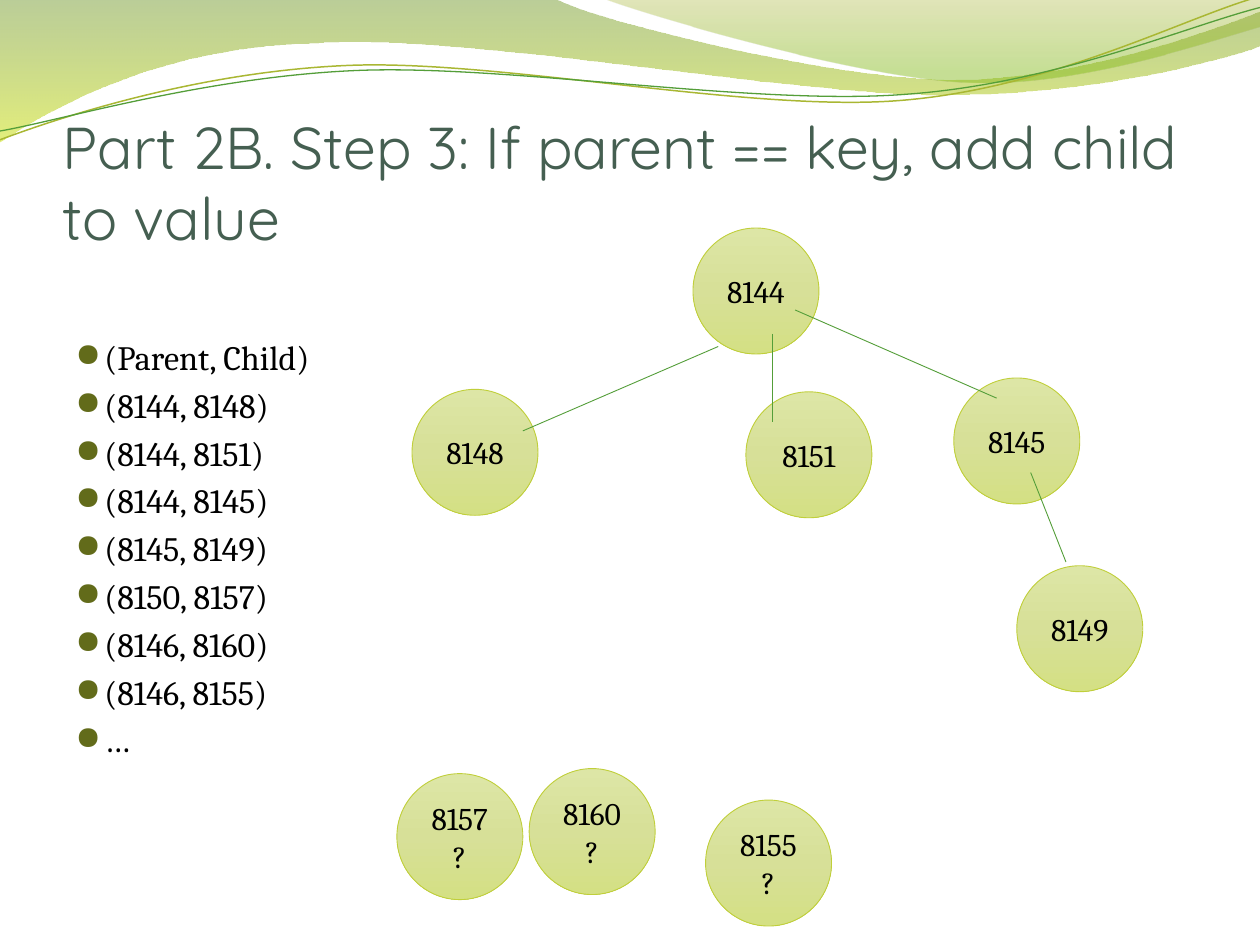
import math

import pptx
import pptx.dml.color
import pptx.enum.shapes
import pptx.enum.text
import pptx.oxml
import pptx.oxml.ns
import pptx.util
from pptx.util import Inches

RGB = pptx.dml.color.RGBColor.from_string
NS = pptx.oxml.ns.nsdecls("a")
THEME = {
    "title": {"name": "Quicksand", "size": pptx.util.Pt(33.7), "color": "455F51"},
    "body": {"name": "Cambria", "size": pptx.util.Pt(19.5), "color": "000000"},
    "node": {"name": "Cambria", "size": pptx.util.Pt(18), "color": "000000"},
    "bullet": "626B1A",
    "edge": "549E39",
    "olive": "A9B733",
    "node_line": "C0CF3A",
    # Gradient stops: position, colour, opacity in percent
    "node_fill": [(0, "DDE6A6", 100), (50, "D7E098", 100), (100, "D4E084", 100)],
    "wave_left": [(0, "69921C", 45), (100, "CCE10F", 55)],
    "wave_right": [(0, "9BAA1A", 30), (80, "81BA16", 45)],
}


def fill_down(sp, stops):
    """Give the shape a top-to-bottom gradient with per-stop opacity."""
    sp.fill.gradient()
    grad = sp._element.spPr.find(pptx.oxml.ns.qn("a:gradFill"))
    stops_xml = "".join(
        f'<a:gs pos="{pos * 1000}"><a:srgbClr val="{color}">'
        f'<a:alpha val="{alpha * 1000}"/></a:srgbClr></a:gs>'
        for pos, color, alpha in stops)
    new = pptx.oxml.parse_xml(
        f'<a:gradFill {NS} rotWithShape="1"><a:gsLst>{stops_xml}</a:gsLst>'
        '<a:lin ang="5400000" scaled="0"/></a:gradFill>')
    grad.getparent().replace(grad, new)


def write(tf, lines, style, align):
    for i, line in enumerate(lines):
        p = tf.paragraphs[0] if i == 0 else tf.add_paragraph()
        p.alignment = align
        r = p.add_run()
        r.text = line
        for key in ("name", "size"):
            setattr(r.font, key, style[key])
        r.font.color.rgb = RGB(style["color"])


prs = pptx.Presentation()
prs.slide_width, prs.slide_height = Inches(10), Inches(7.5)
s = prs.slides.add_slide(prs.slide_layouts[6])

# Header waves: start point, then segments of 2 numbers (straight) or 6 (cubic),
# gradient, line, and the centre the wave is turned about
TILT = -2.7
waves = [
    ((0, 0), [(4.4, -0.01), (4.75, 0.17, 6.63, 0.63, 7.58, 0.63),
              (8.53, 0.63, 9.58, 0.26, 10, 0.09), (10.01, 0.36),
              (9.83, 0.44, 8.69, 0.76, 7.46, 0.75),
              (6.22, 0.75, 3.81, 0.28, 2.57, 0.34),
              (1.29, 0.36, 0.46, 0.83, -0.01, 1.13), (0, 0)],
     THEME["wave_left"], None, None),
    ((4.79, -0.01), [(5.09, 0.11, 6.82, 0.62, 7.68, 0.65),
                     (8.55, 0.69, 9.61, 0.32, 10, 0.21), (10, 0), (4.79, -0.01)],
     THEME["wave_right"], None, None),
    ((0, 1.11), [(0.48, 0.93, 1.57, 0.57, 2.76, 0.52),
                 (3.95, 0.47, 5.92, 0.89, 7.12, 0.8),
                 (8.33, 0.71, 9.38, 0.15, 9.97, -0.02)],
     None, (THEME["olive"], 0.85), (4.99, 0.58)),
    ((0, 1.04), [(0.47, 0.96, 1.63, 0.61, 2.83, 0.56),
                 (4.02, 0.51, 5.97, 0.84, 7.17, 0.75),
                 (8.36, 0.67, 9.41, 0.21, 10, 0.06)],
     None, (THEME["edge"], 0.75), (5, 0.59)),
]
for start, segments, stops, line, center in waves:
    points = [start]
    for seg in segments:
        points += zip(seg[::2], seg[1::2])
    if center:
        cx, cy = center
        cos, sin = math.cos(math.radians(-TILT)), math.sin(math.radians(-TILT))
        points = [(cx + (x - cx) * cos - (y - cy) * sin,
                   cy + (x - cx) * sin + (y - cy) * cos) for x, y in points]
    emu = [(Inches(x), Inches(y)) for x, y in points]
    builder = s.shapes.build_freeform(*emu[0])
    builder.add_line_segments(emu[1:], close=stops is not None)
    sp = builder.convert_to_shape()
    # Join each three points of a cubic segment into one curve
    steps = iter(list(sp._element.iter(pptx.oxml.ns.qn("a:lnTo"))))
    for seg in segments:
        first = next(steps)
        if len(seg) == 6:
            curve = pptx.oxml.parse_xml(f"<a:cubicBezTo {NS}/>")
            first.addprevious(curve)
            for step in (first, next(steps), next(steps)):
                curve.append(step[0])
                step.getparent().remove(step)
    sp.shadow.inherit = False
    if stops:
        fill_down(sp, stops)
        sp.line.fill.background()
    else:
        sp.rotation = TILT
        sp.fill.background()
        sp.line.color.rgb = RGB(line[0])
        sp.line.width = pptx.util.Pt(line[1])

# Title
tf = s.shapes.add_textbox(Inches(0.5), Inches(0.75), Inches(9), Inches(1.25)).text_frame
title_format = {"word_wrap": True, "vertical_anchor": pptx.enum.text.MSO_ANCHOR.BOTTOM,
                "margin_left": 0, "margin_right": 0,
                "margin_top": Inches(0.05), "margin_bottom": 0}
for key, value in title_format.items():
    setattr(tf, key, value)
LEFT, CENTER = pptx.enum.text.PP_ALIGN.LEFT, pptx.enum.text.PP_ALIGN.CENTER
write(tf, ["Part 2B. Step 3: If parent == key, add child to value"], THEME["title"], LEFT)

# Parent and child pairs
pairs = ["(Parent, Child)", "(8144, 8148)", "(8144, 8151)", "(8144, 8145)",
         "(8145, 8149)", "(8150, 8157)", "(8146, 8160)", "(8146, 8155)", "…"]
tf = s.shapes.add_textbox(Inches(0.5), Inches(2.62), Inches(2.6), Inches(4.8)).text_frame
tf.word_wrap = True
write(tf, pairs, THEME["body"], LEFT)
for p in tf.paragraphs:
    pPr = p._p.get_or_add_pPr()
    pPr.set("marL", str(Inches(0.23)))
    pPr.set("indent", str(Inches(-0.23)))
    for xml in (f'<a:spcBef {NS}><a:spcPct val="20000"/></a:spcBef>',
                f'<a:buClr {NS}><a:srgbClr val="{THEME["bullet"]}"/></a:buClr>',
                f'<a:buSzPct {NS} val="95000"/>',
                f'<a:buFont {NS} typeface="OpenSymbol"/>',
                f'<a:buChar {NS} char="●"/>'):
        pPr.append(pptx.oxml.parse_xml(xml))

# Tree: nodes are (left, top, lines); edges are drawn above the first four nodes
tree = [(5.5, 1.81, ["8144"]), (3.27, 3.09, ["8148"]),
        (5.92, 3.11, ["8151"]), (7.57, 3, ["8145"])]
edges = [(5.7, 2.75, 4.15, 3.42), (6.13, 2.65, 6.13, 3.35),
         (6.31, 2.46, 7.91, 3.16), (8.18, 3.75, 8.46, 4.46)]
others = [(8.07, 4.49, ["8149"]), (3.15, 6.14, ["8157", "?"]),
          (4.2, 6.1, ["8160", "?"]), (5.6, 6.35, ["8155", "?"])]
for item in tree + edges + others:
    if len(item) == 4:
        sp = s.shapes.add_connector(pptx.enum.shapes.MSO_CONNECTOR.STRAIGHT,
                                    *(Inches(v) for v in item))
        sp.line.color.rgb = RGB(THEME["edge"])
        sp._element.spPr.append(pptx.oxml.parse_xml(f"<a:effectLst {NS}/>"))
    else:
        left, top, lines = item
        sp = s.shapes.add_shape(pptx.enum.shapes.MSO_SHAPE.OVAL, Inches(left),
                                Inches(top), Inches(1), Inches(1))
        sp.shadow.inherit = False
        fill_down(sp, THEME["node_fill"])
        sp.line.color.rgb = RGB(THEME["node_line"])
        sp.text_frame.vertical_anchor = pptx.enum.text.MSO_ANCHOR.MIDDLE
        write(sp.text_frame, lines, THEME["node"], CENTER)
    sp.line.width = pptx.util.Pt(0.5)

prs.save("out.pptx")
